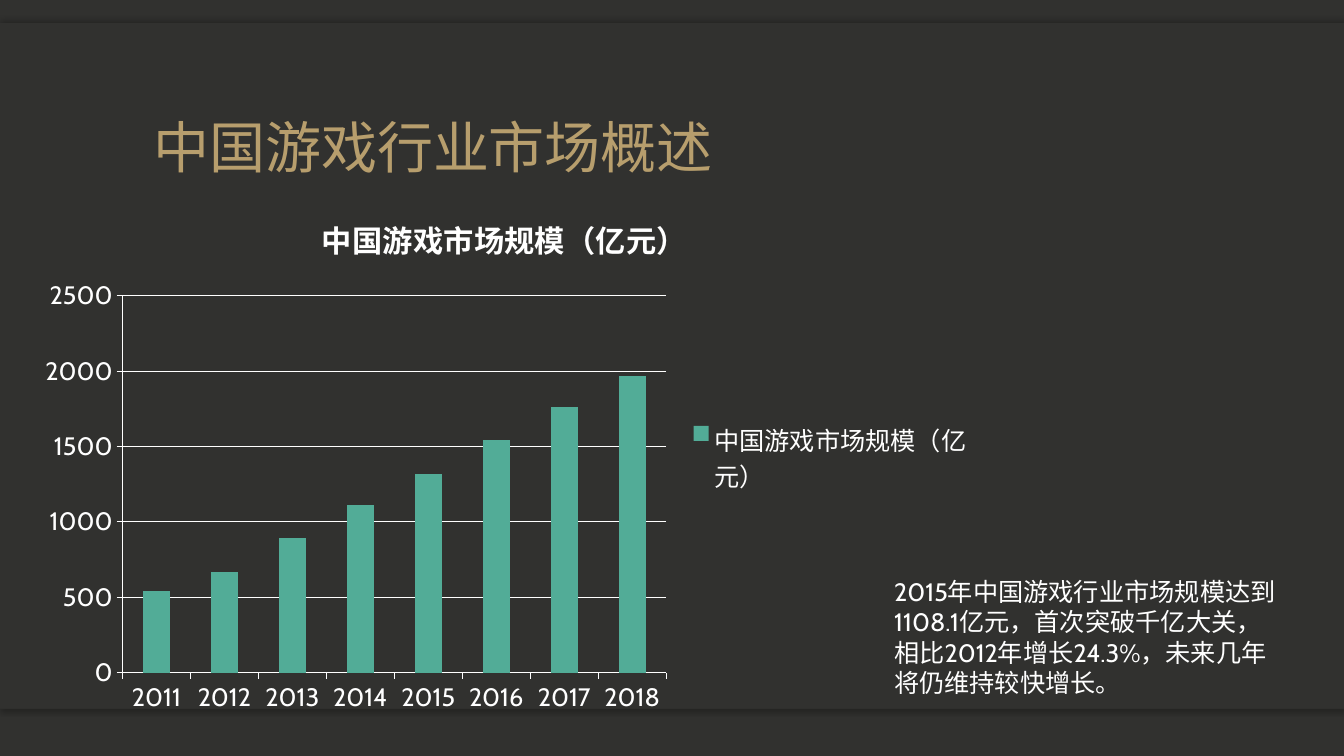
from lxml import etree
from pptx import Presentation
from pptx.chart.data import CategoryChartData
from pptx.dml.color import RGBColor
from pptx.enum.chart import XL_CHART_TYPE, XL_LEGEND_POSITION, XL_TICK_MARK
from pptx.enum.shapes import MSO_SHAPE
from pptx.enum.text import MSO_ANCHOR, PP_ALIGN
from pptx.oxml.ns import qn
from pptx.util import Inches, Pt

COLUMNS = XL_CHART_TYPE.COLUMN_CLUSTERED
LEGEND_RIGHT = XL_LEGEND_POSITION.RIGHT
TICK_OUT, TICK_NONE = XL_TICK_MARK.OUTSIDE, XL_TICK_MARK.NONE
RECT = MSO_SHAPE.RECTANGLE
BOTTOM, LEFT = MSO_ANCHOR.BOTTOM, PP_ALIGN.LEFT

W, H = 13.33, 7.5
DARK, GOLD, TEAL, WHITE = "31312F", "B79E6D", "52AC97", "FFFFFF"
LATIN, CJK = "Cabin", "Noto Sans CJK SC"

MARKET = "中国游戏市场规模（亿元）"
YEARS = [str(year) for year in range(2011, 2019)]
SIZES = [540, 670, 890, 1110, 1320, 1540, 1760, 1970]
SUMMARY = ("2015年中国游戏行业市场规模达到1108.1亿元，首次突破千亿大关，"
           "相比2012年增长24.3%，未来几年将仍维持较快增长。")


def rgb(value):
    return RGBColor.from_string(value)


def inches(box):
    return [Inches(v) for v in box]


def set_font(font, size, color, name=LATIN, **formats):
    for key, value in dict(size=Pt(size), name=name, **formats).items():
        setattr(font, key, value)
    font.color.rgb = rgb(color)


def write(p, text, size, color, name):
    r = p.add_run()
    r.text = text
    set_font(r.font, size, color, name)
    etree.SubElement(r.font._element, qn("a:ea"), typeface=CJK)


def add_shadow(sp, degrees):
    effects = sp._element.spPr.find(qn("a:effectLst"))
    shadow = etree.SubElement(effects, qn("a:outerShdw"), blurRad=str(Pt(4)),
                              dist=str(Pt(2)), dir=str(degrees * 60000), rotWithShape="0")
    color = etree.SubElement(shadow, qn("a:srgbClr"), val="000000")
    etree.SubElement(color, qn("a:alpha"), val="25000")


def add_panel(s, box, shadow_degrees=None):
    sp = s.shapes.add_shape(RECT, *inches(box))
    sp.shadow.inherit = False
    sp.fill.solid()
    sp.fill.fore_color.rgb = rgb(DARK)
    sp.line.fill.background()
    if shadow_degrees is not None:
        add_shadow(sp, shadow_degrees)


def add_backdrop(s, box, edge=0.49):
    """Draw a panel whose top and bottom edges cast shadows outwards."""
    x, y, w, h = box
    add_panel(s, (x, y + h - edge, w, edge), 90)
    add_panel(s, (x, y, w, edge), 270)
    add_panel(s, box)


def add_title(s, box):
    title = s.shapes.title
    title.left, title.top, title.width, title.height = inches(box)
    tf = title.text_frame
    tf.word_wrap, tf.vertical_anchor = True, BOTTOM
    p = tf.paragraphs[0]
    p.alignment, p.line_spacing = LEFT, 0.9
    write(p, "中国游戏行业市场概述", 40, GOLD, CJK)


def style_axis(axis):
    axis.major_tick_mark, axis.minor_tick_mark = TICK_OUT, TICK_NONE
    axis.format.line.color.rgb = rgb(WHITE)
    axis.format.line.width = Pt(0.75)
    set_font(axis.tick_labels.font, 18, WHITE)


def add_market_chart(s, box):
    data = CategoryChartData()
    data.categories = YEARS
    data.add_series(MARKET, SIZES)
    chart = s.shapes.add_chart(COLUMNS, *inches(box), data).chart
    set_font(chart.font, 18, WHITE)

    chart.has_title = True
    p = chart.chart_title.text_frame.paragraphs[0]
    p.text = MARKET
    set_font(p.runs[0].font, 21.6, WHITE, bold=True)

    chart.has_legend = True
    chart.legend.position = LEGEND_RIGHT
    chart.legend.include_in_layout = False
    set_font(chart.legend.font, 18, WHITE)

    values = chart.value_axis
    for axis in (chart.category_axis, values):
        style_axis(axis)
    values.minimum_scale, values.maximum_scale, values.major_unit = 0, 2500, 500
    values.has_major_gridlines = True
    grid = values.major_gridlines.format.line
    grid.color.rgb, grid.width = rgb(WHITE), Pt(0.75)

    plot = chart.plots[0]
    plot.gap_width, plot.vary_by_categories = 150, False
    fill = plot.series[0].format.fill
    fill.solid()
    fill.fore_color.rgb = rgb(TEAL)


def add_summary(s, box):
    tf = s.shapes.add_textbox(*inches(box)).text_frame
    tf.word_wrap = True
    write(tf.paragraphs[0], SUMMARY, 18, WHITE, LATIN)


def main():
    prs = Presentation()
    prs.slide_width, prs.slide_height = Inches(W), Inches(H)
    s = prs.slides.add_slide(prs.slide_layouts[5])
    s.background.fill.solid()
    s.background.fill.fore_color.rgb = rgb(DARK)
    add_backdrop(s, (0, 0.23, W, 6.8))
    add_title(s, (1.42, 0.46, 10.5, 1.38))
    add_market_chart(s, (0.26, 1.9, 9.49, 5.28))
    add_summary(s, (8.77, 5.67, 4.02, 1.31))
    # The title placeholder is created first, so lift it above the backdrop.
    s.shapes._spTree.append(s.shapes.title._element)
    prs.save("out.pptx")


if __name__ == "__main__":
    main()
